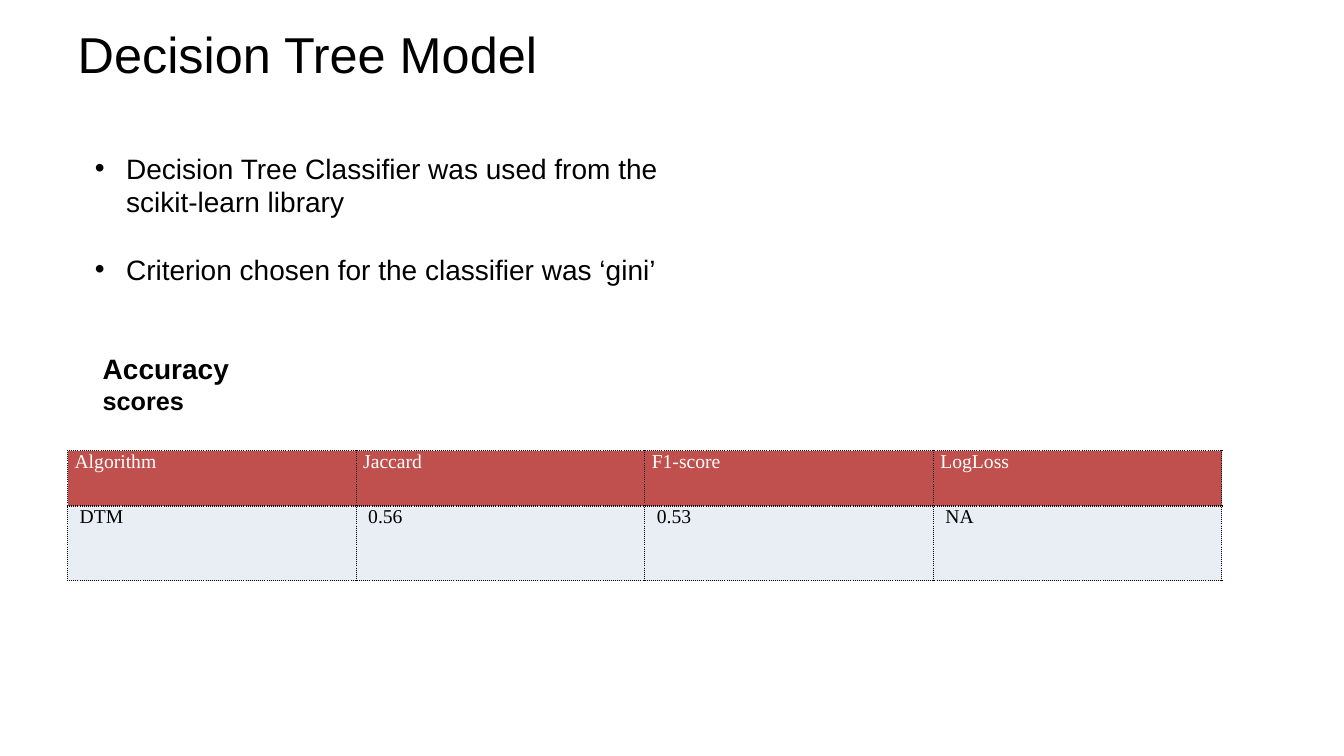
from pptx import Presentation, util as u
from pptx.dml.color import RGBColor
from pptx.enum import text
from pptx.oxml import ns
from lxml import etree

HUES = {"ink": "000000", "white": "FFFFFF", "head": "C0504D",
        "row": "E9EDF4", "edge": "080000"}
WIDE, HIGH = 13.33, 7.5


def hue(name):
    return RGBColor.from_string(HUES[name])


class Deck:
    """Style and current slide; places are shares of the slide's size."""
    sans, serif = "Arial", "Times New Roman"

    def __init__(self):
        self.prs = Presentation()
        self.prs.slide_width = u.Inches(WIDE)
        self.prs.slide_height = u.Inches(HIGH)
        self.slide = self.prs.slides.add_slide(self.prs.slide_layouts[1])

    def box(self, x, y, w, h):
        return [u.Inches(v) for v in (x * WIDE, y * HIGH, w * WIDE, h * HIGH)]

    def place(self, shape, spot, anchor):
        shape.left, shape.top, shape.width, shape.height = self.box(*spot)
        frame = shape.text_frame
        frame.word_wrap = True
        frame.auto_size = text.MSO_AUTO_SIZE.NONE
        frame.vertical_anchor = anchor
        return frame

    def font(self, font, size, name, color="ink", bold=False):
        font.size, font.name, font.bold = u.Pt(size), name, bold
        font.color.rgb = hue(color)

    def title(self, words, spot):
        frame = self.place(self.slide.shapes.title, spot, text.MSO_ANCHOR.MIDDLE)
        frame.text = words
        para = frame.paragraphs[0]
        para.alignment = text.PP_ALIGN.LEFT
        self.font(para.font, 36, self.sans)

    def points(self, items, spot):
        frame = self.place(self.slide.placeholders[1], spot, text.MSO_ANCHOR.TOP)
        frame.text = "\n".join(items)
        for i, para in enumerate(frame.paragraphs):
            self.font(para.font, 20, self.sans)
            para.line_spacing = u.Pt(24)
            para.space_before = u.Pt(24 if i else 0)
            props = para._p.get_or_add_pPr()
            props.set("marL", str(u.Inches(0.31)))
            props.set("indent", str(-u.Inches(0.31)))
            etree.SubElement(props, ns.qn("a:buChar"), char="•")
            # The bullet must come before the default run style
            props.append(props.find(ns.qn("a:defRPr")))

    def label(self, parts, spot):
        shape = self.slide.shapes.add_textbox(*self.box(*spot))
        frame = self.place(shape, spot, text.MSO_ANCHOR.TOP)
        for words, size in parts:
            run = frame.paragraphs[0].add_run()
            run.text = words
            self.font(run.font, size, self.sans, bold=True)

    def edges(self, cell):
        props = cell._tc.get_or_add_tcPr()
        for i, side in enumerate(("lnL", "lnR", "lnT", "lnB")):
            line = etree.Element(ns.qn("a:" + side), w=str(u.Pt(1)))
            fill = etree.SubElement(line, ns.qn("a:solidFill"))
            etree.SubElement(fill, ns.qn("a:srgbClr"), val=HUES["edge"])
            etree.SubElement(line, ns.qn("a:prstDash"), val="sysDot")
            props.insert(i, line)

    def table(self, rows, highs, spot):
        grid = self.slide.shapes.add_table(
            len(rows), len(rows[0]), *self.box(*spot)).table
        looks = [("head", "white", 0.07), ("row", "ink", 0.12)]
        for r, (row, high) in enumerate(zip(rows, highs)):
            grid.rows[r].height = u.Inches(high * HIGH)
            back, color, pad = looks[min(r, 1)]
            for c, words in enumerate(row):
                cell = grid.cell(r, c)
                cell.text = words
                cell.margin_left, cell.margin_right = u.Inches(pad), u.Inches(0.07)
                cell.margin_top = cell.margin_bottom = 0
                cell.fill.solid()
                cell.fill.fore_color.rgb = hue(back)
                self.font(cell.text_frame.paragraphs[0].font, 14,
                          self.serif, color)
                self.edges(cell)


deck = Deck()

# Heading and notes on the model
deck.title("Decision Tree Model", (0.67 / WIDE, 0.21 / HIGH, 0.9, 0.64 / HIGH))
deck.points(["Decision Tree Classifier was used from the scikit-learn library",
             "Criterion chosen for the classifier was ‘gini’"],
            (0.84 / WIDE, 1.45 / HIGH, 6.25 / WIDE, 1.78 / HIGH))

# Scores
deck.table([["Algorithm", "Jaccard", "F1-score", "LogLoss"],
            ["DTM", "0.56", "0.53", "NA"]],
           (0.55 / HIGH, 0.74 / HIGH),
           (0.67 / WIDE, 4.47 / HIGH, 11.45 / WIDE, 1.29 / HIGH))
deck.label([("Accuracy ", 20), ("scores", 18)],
           (0.92 / WIDE, 3.44 / HIGH, 2.25 / WIDE, 0.44 / HIGH))

deck.prs.save("out.pptx")
